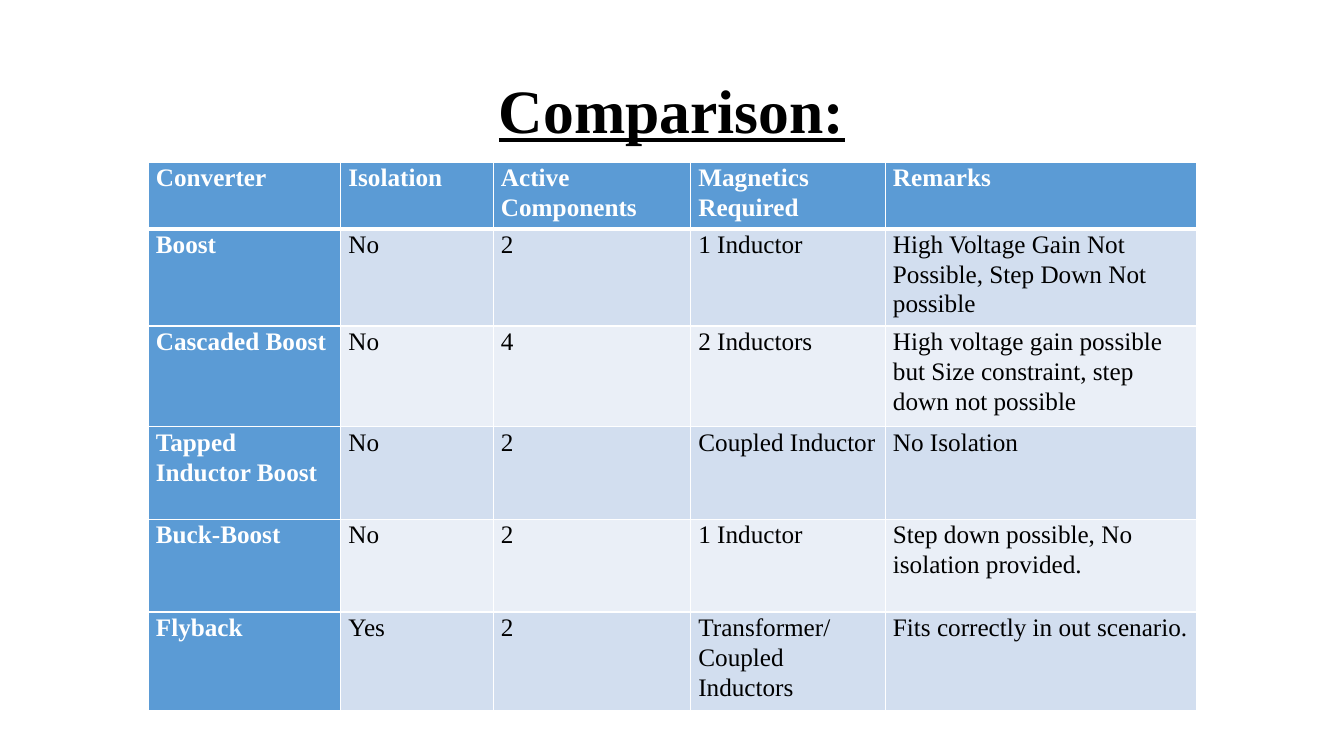
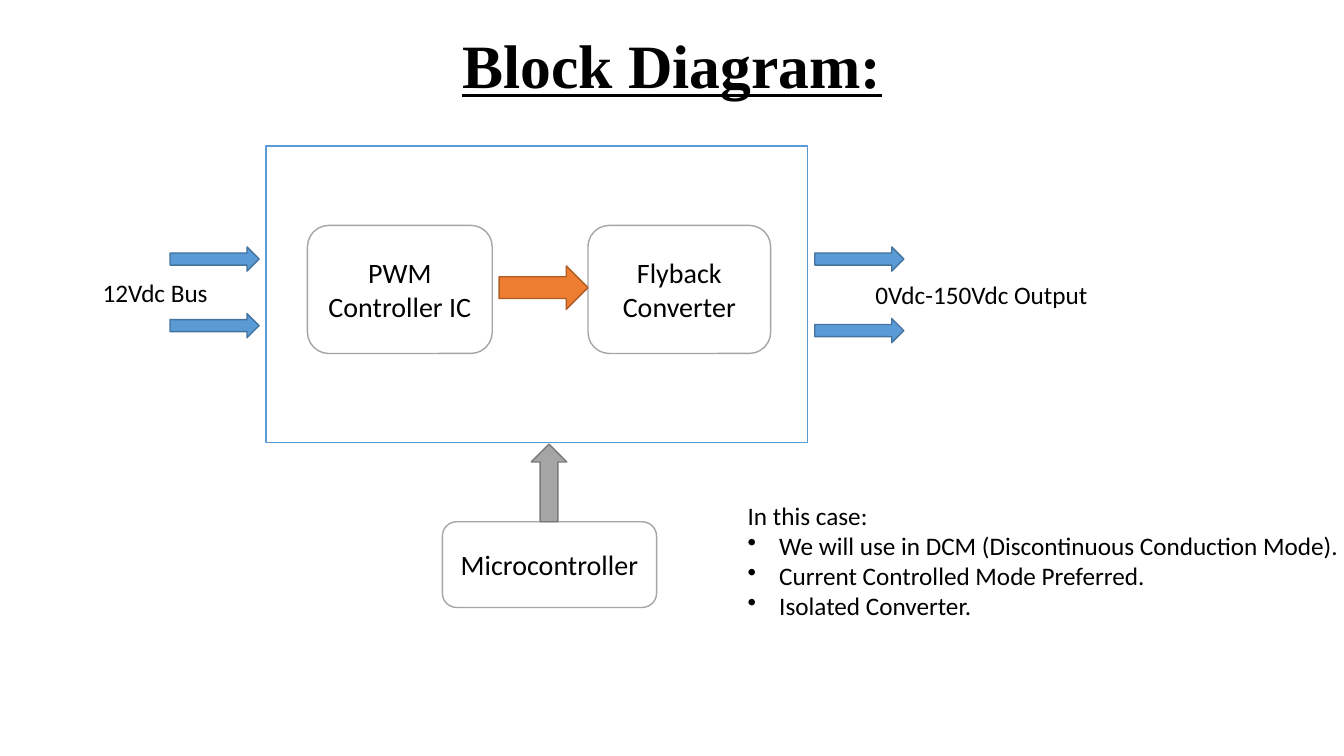
from lxml import etree
from pptx import Presentation
from pptx.dml.color import RGBColor
from pptx.enum import shapes, text
from pptx.oxml import ns
from pptx.util import Pt

BLACK = RGBColor(0x00, 0x00, 0x00)
WHITE = RGBColor(0xFF, 0xFF, 0xFF)
BLUE = RGBColor(0x5B, 0x9B, 0xD5)
BLUE_EDGE = RGBColor(0x43, 0x73, 0x9E)
ORANGE = RGBColor(0xED, 0x7D, 0x31)
ORANGE_EDGE = RGBColor(0xAF, 0x5C, 0x24)
GRAY = RGBColor(0xA5, 0xA5, 0xA5)
GRAY_EDGE = RGBColor(0x7A, 0x7A, 0x7A)
BAND_DARK = RGBColor(0xD2, 0xDE, 0xEF)
BAND_LIGHT = RGBColor(0xEA, 0xEF, 0xF7)

SERIF, SANS = "Times New Roman", "Calibri"
PRESET = shapes.MSO_SHAPE


class Deck:
    """Holds the shared style and the slide being built."""

    def __init__(self):
        self.prs = Presentation()
        self.prs.slide_width, self.prs.slide_height = Pt(960), Pt(540)
        self.slide = None

    def new_slide(self, title, top, height):
        self.slide = self.prs.slides.add_slide(self.prs.slide_layouts[6])
        box = self.slide.shapes.add_textbox(Pt(66), Pt(top), Pt(828), Pt(height))
        frame = box.text_frame
        frame.word_wrap = True
        frame.vertical_anchor = text.MSO_ANCHOR.MIDDLE
        heading = frame.paragraphs[0]
        heading.text = title
        heading.alignment = text.PP_ALIGN.CENTER
        heading.line_spacing = 0.9
        self.style(heading, 44, SERIF, bold=True)
        heading.font.underline = True

    def style(self, paragraph, size, face, color=BLACK, bold=False):
        font = paragraph.font
        font.size, font.name, font.bold = Pt(size), face, bold
        font.color.rgb = color

    def block(self, preset, left, top, width, height, fill, edge, label=""):
        shape = self.slide.shapes.add_shape(
            preset, Pt(left), Pt(top), Pt(width), Pt(height))
        shape.shadow.inherit = False
        shape.fill.solid()
        shape.fill.fore_color.rgb = fill
        shape.line.color.rgb = edge
        shape.line.width = Pt(1)
        if label:
            caption = shape.text_frame.paragraphs[0]
            caption.text = label
            caption.alignment = text.PP_ALIGN.CENTER
            self.style(caption, 20, SANS)

    def label(self, left, top, width, height, first, bullets=()):
        box = self.slide.shapes.add_textbox(Pt(left), Pt(top), Pt(width), Pt(height))
        frame = box.text_frame
        frame.word_wrap = False
        frame.auto_size = text.MSO_AUTO_SIZE.SHAPE_TO_FIT_TEXT
        frame.text = "\n".join([first, *bullets])
        for i, paragraph in enumerate(frame.paragraphs):
            self.style(paragraph, 18, SANS)
            if i:
                self.bullet(paragraph)

    def bullet(self, paragraph):
        props = paragraph._p.get_or_add_pPr()
        props.set("marL", str(Pt(22.5)))
        props.set("indent", str(Pt(-22.5)))
        mark = etree.Element(ns.qn("a:buChar"), char="•")
        props.insert(0, mark)

    def table(self, left, top, widths, heights, rows):
        grid = self.slide.shapes.add_table(
            len(rows), len(widths), Pt(left), Pt(top),
            Pt(sum(widths)), Pt(sum(heights))).table
        for column, width in zip(grid.columns, widths):
            column.width = Pt(width)
        for row, height in zip(grid.rows, heights):
            row.height = Pt(height)
        for r, row in enumerate(rows):
            band = BAND_DARK if r % 2 else BAND_LIGHT
            for c, words in enumerate(row):
                self.cell(grid.cell(r, c), words, r == 0 or c == 0, band)
                self.borders(grid.cell(r, c), top=3 if r == 1 else 1,
                             bottom=3 if r == 0 else 1)

    def cell(self, cell, words, is_header, band):
        cell.margin_left = cell.margin_right = Pt(5.4)
        cell.margin_top = cell.margin_bottom = Pt(0)
        cell.fill.solid()
        cell.fill.fore_color.rgb = BLUE if is_header else band
        paragraph = cell.text_frame.paragraphs[0]
        paragraph.text = words
        paragraph.line_spacing = 1.07
        self.style(paragraph, 18, SERIF, WHITE if is_header else BLACK, is_header)

    def borders(self, cell, top, bottom):
        props = cell._tc.get_or_add_tcPr()
        sides = (("a:lnL", 1), ("a:lnR", 1), ("a:lnT", top), ("a:lnB", bottom))
        for i, (tag, width) in enumerate(sides):
            line = etree.Element(ns.qn(tag), w=str(Pt(width)))
            fill = etree.SubElement(line, ns.qn("a:solidFill"))
            etree.SubElement(fill, ns.qn("a:srgbClr"), val=str(WHITE))
            props.insert(i, line)


def comparison(deck):
    deck.new_slide("Comparison:", 28.8, 104.4)
    deck.table(
        106, 116, [137.5, 109, 141, 139, 222], [47.5, 63.5, 72, 66.2, 66.2, 70.6],
        [("Converter", "Isolation", "Active Components", "Magnetics Required",
          "Remarks"),
         ("Boost", "No", "2", "1 Inductor",
          "High Voltage Gain Not Possible, Step Down Not possible"),
         ("Cascaded Boost", "No", "4", "2 Inductors",
          "High voltage gain possible but Size constraint, step down not possible"),
         ("Tapped Inductor Boost", "No", "2", "Coupled Inductor", "No Isolation"),
         ("Buck-Boost", "No", "2", "1 Inductor",
          "Step down possible, No isolation provided."),
         ("Flyback", "Yes", "2", "Transformer/Coupled Inductors",
          "Fits correctly in out scenario.")])


def block_diagram(deck):
    deck.new_slide("Block Diagram:", 7.2, 84.2)

    # Converter frame with its input and output arrows
    deck.block(PRESET.RECTANGLE, 190, 104.4, 386.8, 211.7, WHITE, BLUE)
    for left, top in ((121.5, 176.4), (121.5, 224), (582, 176.4), (582, 227.5)):
        deck.block(PRESET.RIGHT_ARROW, left, top, 63.6, 17.3, BLUE, BLUE_EDGE)
    deck.label(66.2, 194.4, 90.7, 29, "12Vdc Bus")
    deck.label(618.3, 195.8, 167.8, 29, "0Vdc-150Vdc Output")

    # Stages
    for left, top, width, height, name in (
            (219.6, 161, 132, 91.5, "PWM Controller IC"),
            (420, 161, 130.5, 91.5, "Flyback Converter"),
            (316, 372.7, 153, 61.2, "Microcontroller")):
        deck.block(PRESET.ROUNDED_RECTANGLE, left, top, width, height,
                   WHITE, GRAY, name)

    # Control signals
    deck.block(PRESET.RIGHT_ARROW, 356.5, 190, 63.5, 31, ORANGE, ORANGE_EDGE)
    deck.block(PRESET.UP_ARROW, 379.5, 317.3, 25.4, 55.4, GRAY, GRAY_EDGE)

    # Design choices
    deck.label(527, 353.5, 442, 94.3, "In this case:",
               ["We will use in DCM (Discontinuous Conduction Mode).",
                "Current Controlled Mode Preferred.",
                "Isolated Converter."])


def main():
    deck = Deck()
    comparison(deck)
    block_diagram(deck)
    deck.prs.save("out.pptx")


if __name__ == "__main__":
    main()
